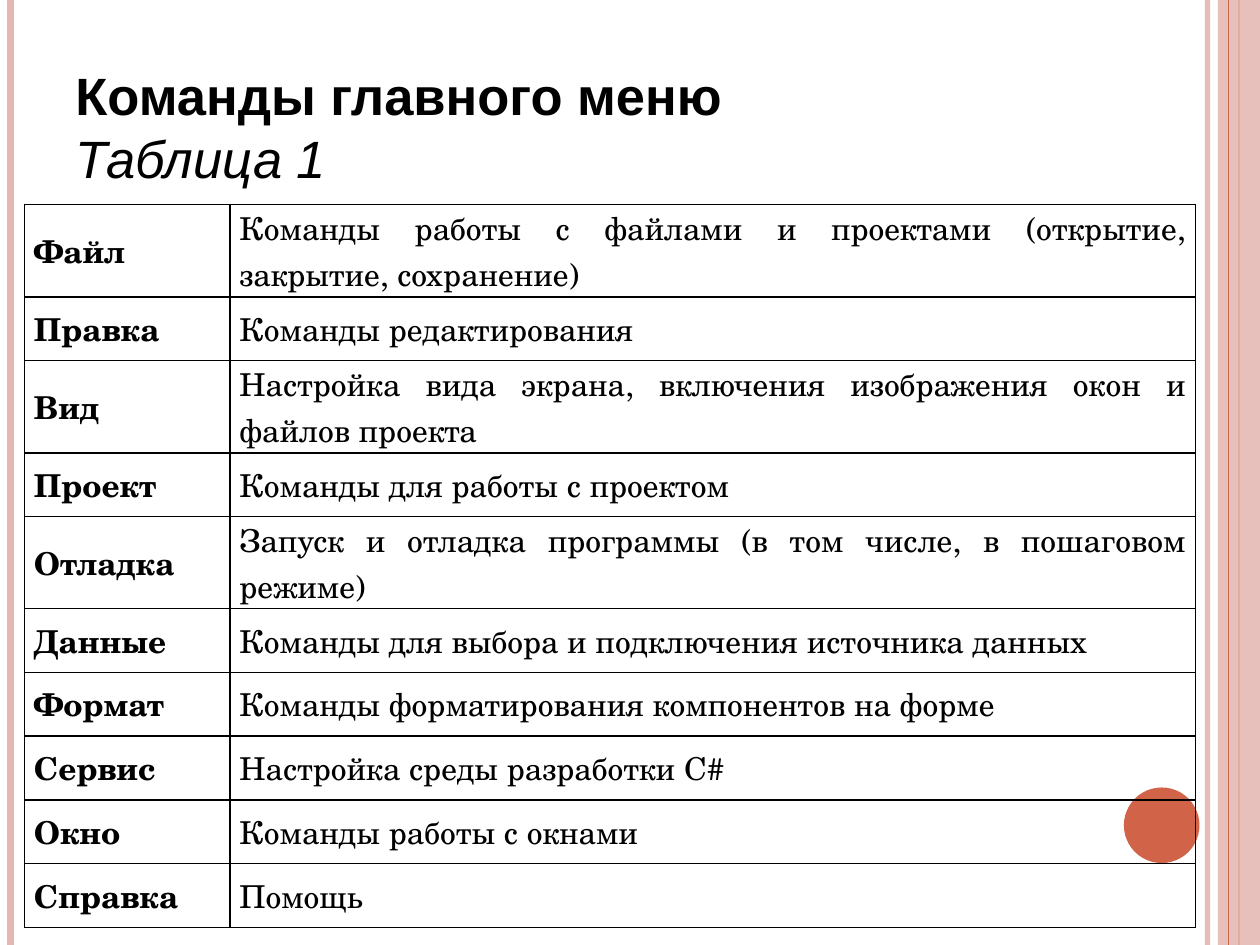
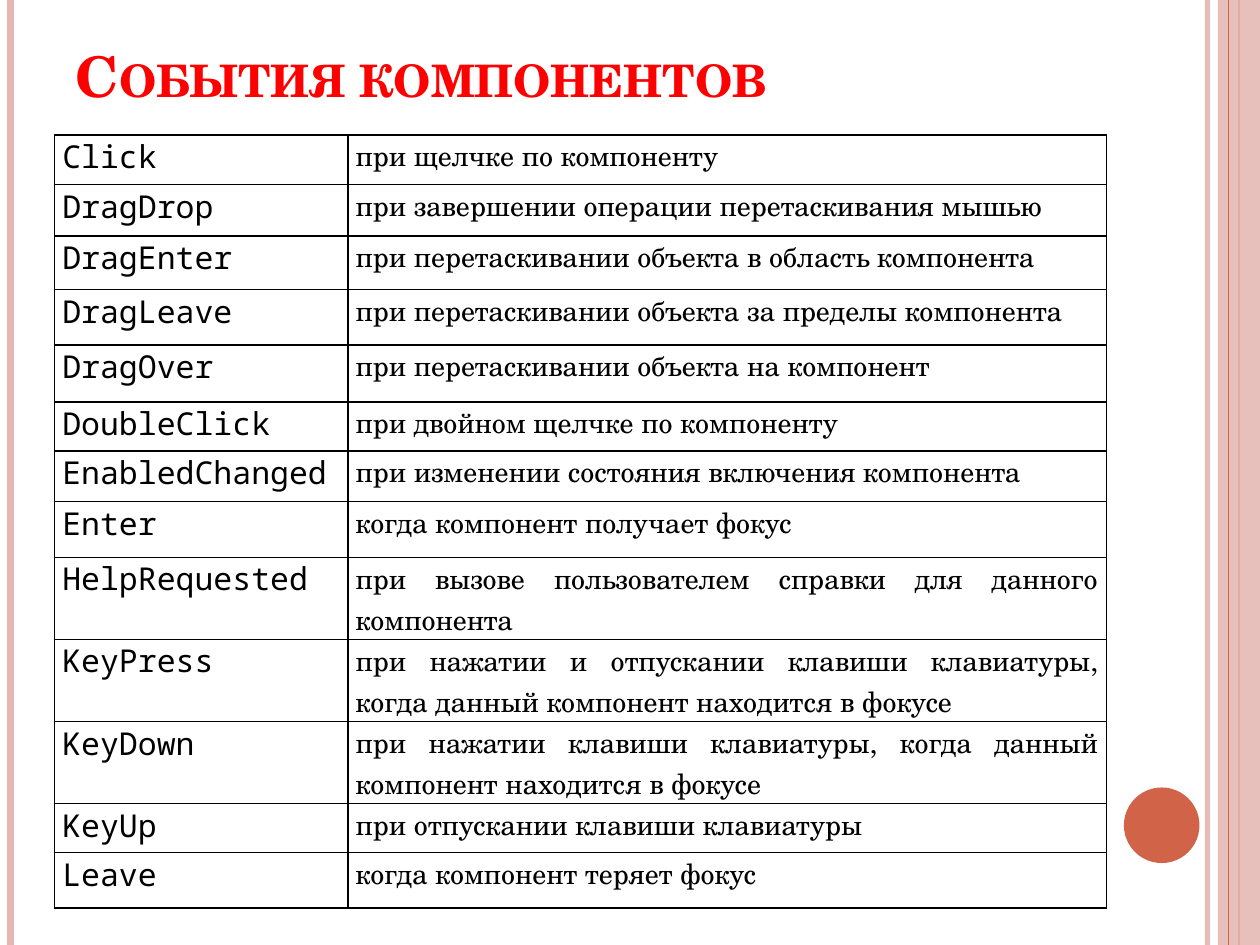
from lxml import etree
from pptx import Presentation
from pptx.dml.color import RGBColor
from pptx.enum import shapes, text
from pptx.oxml import ns
from pptx.util import Pt

hues = {"ink": "000000", "red": "FF0000", "pink": "E5B7B1", "rust": "D16349"}
serif, sans, mono = "TeX Gyre Schola", "Arial", "Noto Sans Mono"


def paint(fill, hue, alpha=100):
    fill.solid()
    fill.fore_color.rgb = RGBColor.from_string(hues[hue])
    if alpha < 100:
        tone = fill._xPr.find(".//" + ns.qn("a:srgbClr"))
        etree.SubElement(tone, ns.qn("a:alpha")).set("val", str(alpha * 1000))


def style(run, face, size, hue="ink", bold=False, slant=False):
    font = run.font
    font.name, font.size, font.bold, font.italic = face, Pt(size), bold, slant
    font.color.rgb = RGBColor.from_string(hues[hue])


stripes = [(690, "pink", 3, 93), (6, "pink", 4.5, 100), (708, "rust", 1.5, 100)]
band = (shapes.MSO_SHAPE.RECTANGLE, 696, 0, 24, 540, "pink", 87)
seam = (702, "rust", 0.75, 100)
disc = (shapes.MSO_SHAPE.OVAL, 642.24, 450, 43.2, 43.2, "rust", 100)

menu = [
    ("Файл", "Команды работы с файлами и проектами (открытие, закрытие, сохранение)", 52.7),
    ("Правка", "Команды редактирования", 36.45),
    ("Вид", "Настройка вида экрана, включения изображения окон и файлов проекта", 52.7),
    ("Проект", "Команды для работы с проектом", 36.45),
    ("Отладка", "Запуск и отладка программы (в том числе, в пошаговом режиме)", 52.7),
    ("Данные", "Команды для выбора и подключения источника данных", 36.45),
    ("Формат", "Команды форматирования компонентов на форме", 36.45),
    ("Сервис", "Настройка среды разработки C#", 36.45),
    ("Окно", "Команды работы с окнами", 36.45),
    ("Справка", "Помощь", 36.45),
]
events = [
    ("Click", "при щелчке по компоненту", 28.3),
    ("DragDrop", "при завершении операции перетаскивания мышью", 29.5),
    ("DragEnter", "при перетаскивании объекта в область компонента", 30.6),
    ("DragLeave", "при перетаскивании объекта за пределы компонента", 31.7),
    ("DragOver", "при перетаскивании объекта на компонент", 32.5),
    ("DoubleClick", "при двойном щелчке по компоненту", 28),
    ("EnabledChanged", "при изменении состояния включения компонента", 29.1),
    ("Enter", "когда компонент получает фокус", 31.8),
    ("HelpRequested", "при вызове пользователем справки для данного компонента", 46.9),
    ("KeyPress", "при нажатии и отпускании клавиши клавиатуры, когда данный компонент находится в фокусе", 46.9),
    ("KeyDown", "при нажатии клавиши клавиатуры, когда данный компонент находится в фокусе", 46.9),
    ("KeyUp", "при отпускании клавиши клавиатуры", 28),
    ("Leave", "когда компонент теряет фокус", 31.7),
]
mid, top = text.MSO_ANCHOR.MIDDLE, text.MSO_ANCHOR.TOP
pages = [
    {"title": "Команды главного меню\vТаблица 1", "high": 90, "small": False,
     "looks": [(sans, 30, "ink", True), (sans, 30, "ink", False, True)],
     "rows": menu, "at": (14, 116.9), "cols": (117.4, 551.8),
     "faces": [(serif, 18, "ink", True), (serif, 18)], "pad": 5.4, "anchor": mid},
    {"title": "События компонентов", "high": 44, "small": True,
     "looks": [(serif, 32, "red", True)],
     "rows": events, "at": (31.1, 77.1), "cols": (167.7, 433.5),
     "faces": [(mono, 18), (serif, 16)], "pad": 4.5, "anchor": top},
]

deck = Presentation()
deck.slide_width, deck.slide_height = Pt(720), Pt(540)

for page in pages:
    slide = deck.slides.add_slide(deck.slide_layouts[6])

    for part in [*stripes, band, seam, disc]:
        if len(part) == 4:
            x, hue, width, alpha = part
            line = slide.shapes.add_connector(
                shapes.MSO_CONNECTOR.STRAIGHT, Pt(x), 0, Pt(x), Pt(540))
            line.line.width = Pt(width)
            paint(line.line.fill, hue, alpha)
            etree.SubElement(line._element.spPr, ns.qn("a:effectLst"))
        else:
            kind, *box, hue, alpha = part
            shape = slide.shapes.add_shape(kind, *map(Pt, box))
            shape.shadow.inherit = False
            shape.line.fill.background()
            paint(shape.fill, hue, alpha)

    head = slide.shapes.add_textbox(Pt(36), Pt(21.6), Pt(588), Pt(page["high"]))
    frame = head.text_frame
    frame.word_wrap = True
    frame.vertical_anchor = text.MSO_ANCHOR.BOTTOM
    frame.text = page["title"]
    for run, look in zip(frame.paragraphs[0].runs, page["looks"]):
        style(run, *look)
        if page["small"]:
            run._r.get_or_add_rPr().set("cap", "small")

    rows, cols = page["rows"], page["cols"]
    high = sum(row[2] for row in rows)
    grid = slide.shapes.add_table(
        len(rows), 2, *map(Pt, page["at"]), Pt(sum(cols)), Pt(high)).table
    grid.first_row = grid.horz_banding = False
    for col, width in zip(grid.columns, cols):
        col.width = Pt(width)
    for r, (*words, tall) in enumerate(rows):
        grid.rows[r].height = Pt(tall)
        for c, word in enumerate(words):
            cell = grid.cell(r, c)
            cell.fill.background()
            cell.margin_left = cell.margin_right = Pt(page["pad"])
            cell.margin_top = cell.margin_bottom = 0
            cell.vertical_anchor = page["anchor"]
            cell.text_frame.text = word
            para = cell.text_frame.paragraphs[0]
            para.alignment = text.PP_ALIGN.JUSTIFY
            style(para.runs[0], *page["faces"][c])
            props = cell._tc.get_or_add_tcPr()
            for n, side in enumerate("LRTB"):
                edge = etree.Element(ns.qn("a:ln" + side), w=str(Pt(1)))
                solid = etree.SubElement(edge, ns.qn("a:solidFill"))
                etree.SubElement(solid, ns.qn("a:srgbClr"), val=hues["ink"])
                props.insert(n, edge)

deck.save("out.pptx")
